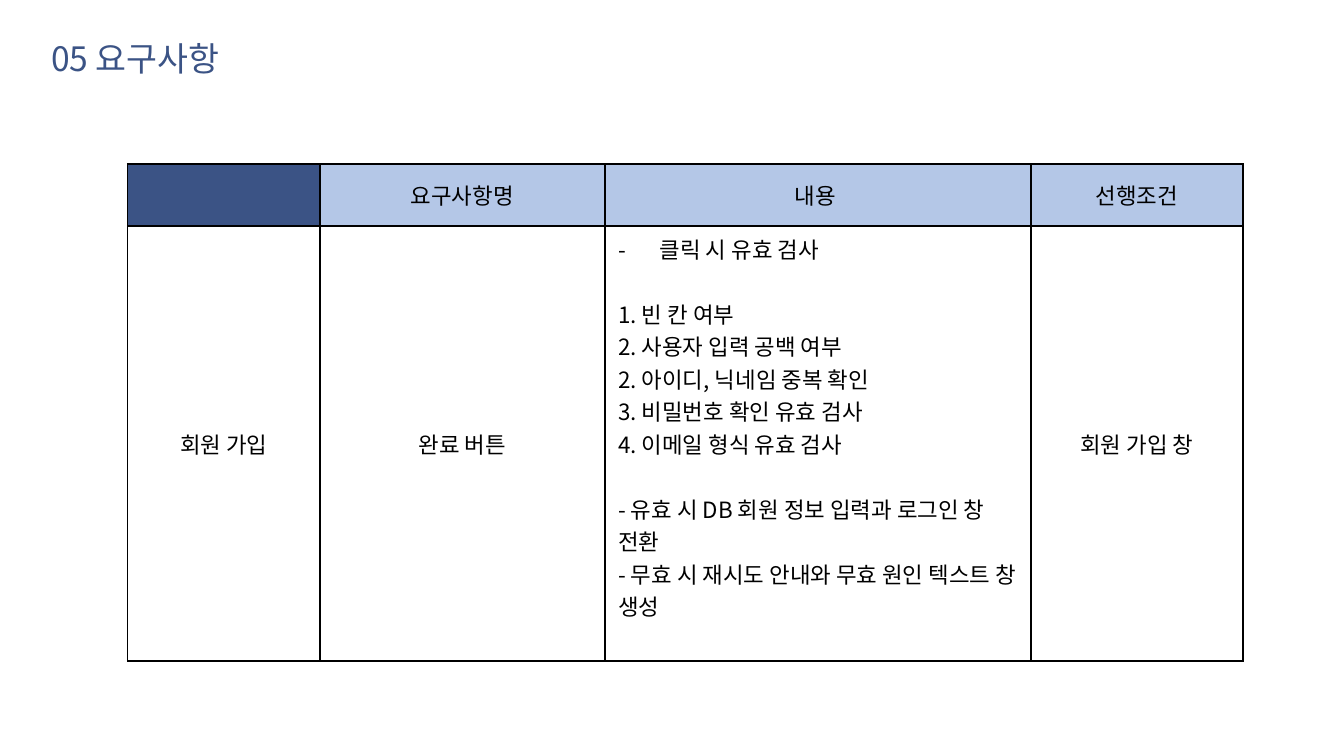
from lxml import etree
from pptx import Presentation
from pptx.dml.color import RGBColor
from pptx.enum import text
from pptx.oxml import ns
from pptx.util import Inches, Pt

NAVY = RGBColor(0x3B, 0x53, 0x85)
PALE_BLUE = RGBColor(0xB4, 0xC7, 0xE7)
BLACK = RGBColor(0, 0, 0)
FONT = "Noto Sans CJK KR"
LINE_GAP = Pt(17.4)  # one line of 12 pt text

COLUMN_WIDTHS = [1.43, 2.12, 3.17, 1.58]
ROW_HEIGHTS = [0.46, 3.02]
HEADINGS = ["", "요구사항명", "내용 ", "선행조건"]
SUBJECT, ELEMENT, CONDITION = "회원 가입", "완료 버튼", "회원 가입 창"
CHECK_GROUPS = [
    ["클릭 시 유효 검사"],
    [
        "1. 빈 칸 여부",
        "2. 사용자 입력 공백 여부",
        "2. 아이디, 닉네임 중복 확인",
        "3. 비밀번호 확인 유효 검사",
        "4. 이메일 형식 유효 검사",
    ],
    [
        "- 유효 시 DB 회원 정보 입력과 로그인 창 전환",
        "- 무효 시 재시도 안내와 무효 원인 텍스트 창 생성",
    ],
]


def add_child(parent, tag, **attributes):
    return etree.SubElement(parent, ns.qn(tag), **attributes)


def style_paragraph(paragraph, size, color):
    font = paragraph.font
    font.size = Pt(size)
    font.color.rgb = color
    font.name = FONT
    defaults = paragraph._p.pPr.find(ns.qn("a:defRPr"))
    add_child(defaults, "a:ea", typeface=FONT)


def add_dash_bullet(paragraph):
    properties = paragraph._p.get_or_add_pPr()
    properties.set("marL", str(Inches(0.31)))
    properties.set("indent", str(-Inches(0.31)))
    add_child(properties, "a:buFont", typeface=FONT)
    add_child(properties, "a:buChar", char="-")


def add_title(page, title):
    box = page.shapes.add_textbox(Inches(0.31), Inches(0.24), Inches(2.34), Inches(0.38))
    frame = box.text_frame
    frame.word_wrap = True
    frame.auto_size = text.MSO_AUTO_SIZE.SHAPE_TO_FIT_TEXT
    frame.margin_left = frame.margin_right = Inches(0.07)
    frame.margin_top = frame.margin_bottom = Inches(0.04)
    frame.text = title
    style_paragraph(frame.paragraphs[0], 18, NAVY)


def format_cell(cell, fill=None):
    """Give the cell black borders, middle anchoring and its fill."""
    cell.vertical_anchor = text.MSO_ANCHOR.MIDDLE
    properties = cell._tc.get_or_add_tcPr()
    for side in "LRTB":
        line = add_child(properties, f"a:ln{side}", w=str(Pt(1)))
        solid = add_child(line, "a:solidFill")
        add_child(solid, "a:srgbClr", val=str(BLACK))
    if fill is None:
        cell.fill.background()
    else:
        cell.fill.solid()
        cell.fill.fore_color.rgb = fill


def write_centred(cell, words):
    cell.text = words
    paragraph = cell.text_frame.paragraphs[0]
    paragraph.alignment = text.PP_ALIGN.CENTER
    style_paragraph(paragraph, 12, BLACK)


def write_checks(cell):
    """Write the groups of checks, one line apart, with a free line below."""
    frame = cell.text_frame
    cell.margin_bottom = Inches(0.29)
    for group_number, group in enumerate(CHECK_GROUPS):
        for line_number, words in enumerate(group):
            is_first = group_number == line_number == 0
            paragraph = frame.paragraphs[0] if is_first else frame.add_paragraph()
            paragraph.text = words
            if is_first:
                add_dash_bullet(paragraph)
            elif line_number == 0:
                paragraph.space_before = LINE_GAP
            style_paragraph(paragraph, 12, BLACK)


def add_requirements(page):
    frame = page.shapes.add_table(
        len(ROW_HEIGHTS), len(COLUMN_WIDTHS), Inches(0.95), Inches(1.22),
        Inches(sum(COLUMN_WIDTHS)), Inches(sum(ROW_HEIGHTS)))
    table = frame.table
    table.horz_banding = False
    for column, width in zip(table.columns, COLUMN_WIDTHS):
        column.width = Inches(width)
    for row, height in zip(table.rows, ROW_HEIGHTS):
        row.height = Inches(height)
    for index, heading in enumerate(HEADINGS):
        format_cell(table.cell(0, index), PALE_BLUE if heading else NAVY)
        write_centred(table.cell(0, index), heading)
        format_cell(table.cell(1, index))
    for index, words in ((0, SUBJECT), (1, ELEMENT), (3, CONDITION)):
        write_centred(table.cell(1, index), words)
    write_checks(table.cell(1, 2))


def main():
    deck = Presentation()
    deck.slide_width = Inches(10)
    deck.slide_height = Inches(10 * 9 / 16)
    page = deck.slides.add_slide(deck.slide_layouts[6])
    add_requirements(page)
    add_title(page, "05 요구사항")
    deck.save("out.pptx")


if __name__ == "__main__":
    main()
